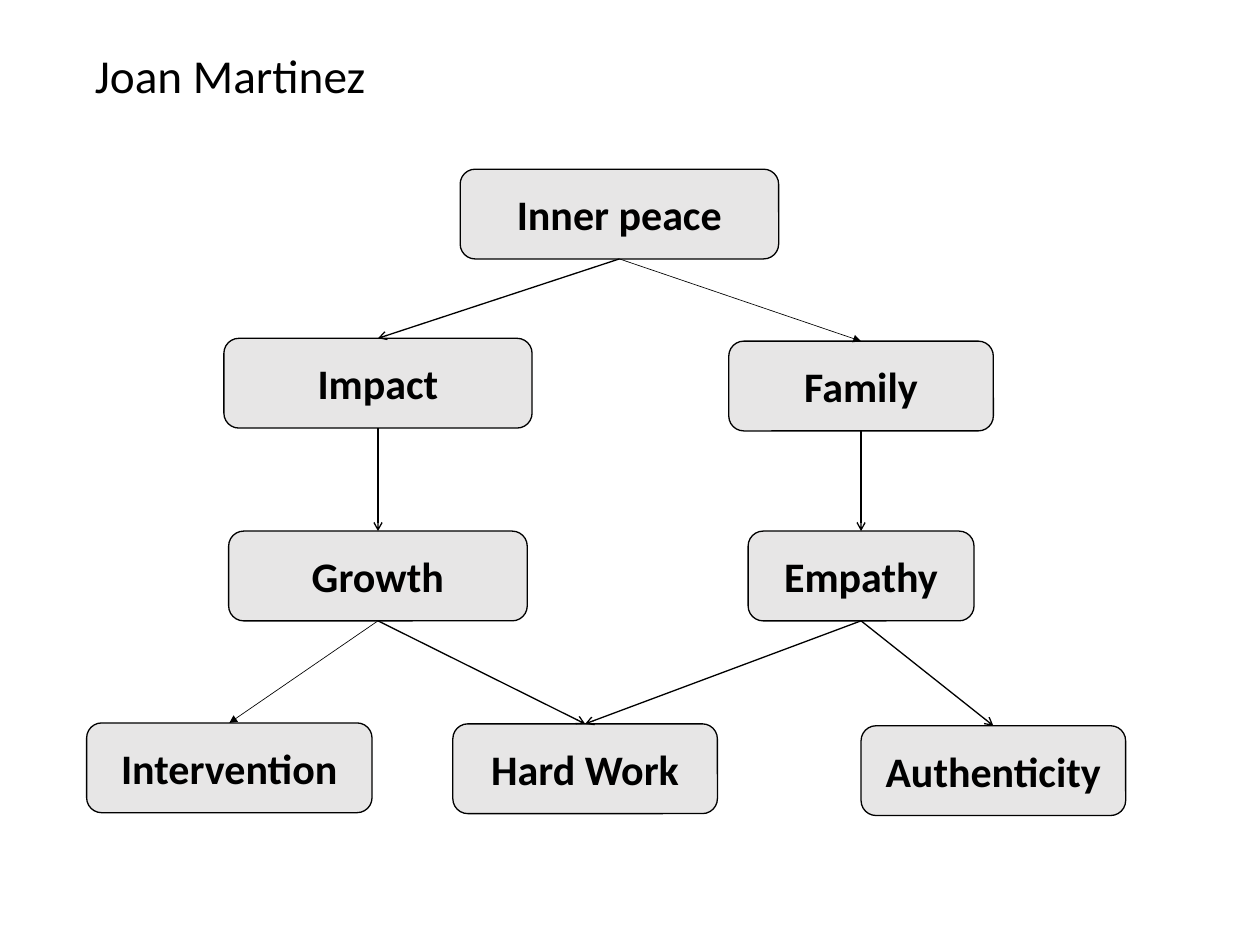
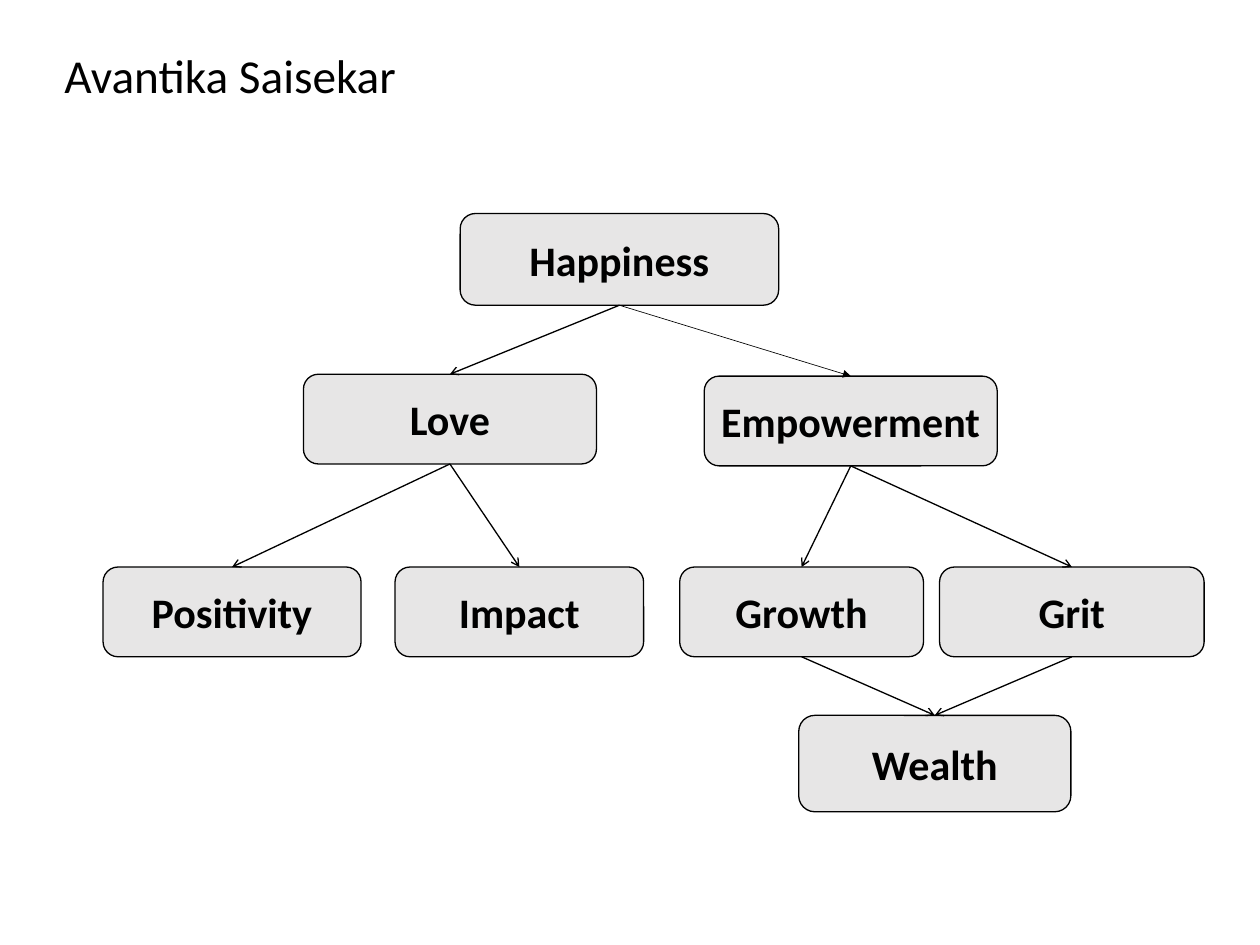
from dataclasses import dataclass

from lxml.etree import SubElement
from pptx import Presentation
from pptx.dml.color import RGBColor
from pptx.enum.shapes import MSO_CONNECTOR, MSO_SHAPE
from pptx.enum.text import MSO_ANCHOR, MSO_AUTO_SIZE, PP_ALIGN
from pptx.oxml.ns import qn
from pptx.shapes.autoshape import Shape
from pptx.slide import Slide
from pptx.util import Inches, Pt

# Shared look
WIDE, HIGH = Inches(13.33), Inches(10)
FONT, INK, GREY = "Calibri", "000000", "E7E6E6"
TOP, BASE = 0, 2  # connection sites of a box


@dataclass(frozen=True)
class Node:
    """A value box: centre, top and size in percent of the slide."""
    label: str
    mid: float
    top: float
    width: float
    height: float = 9.5


@dataclass(frozen=True)
class Link:
    """An arrow from one box down to another."""
    start: str
    end: str
    head: str = "arrow"
    weight: float = 1


@dataclass(frozen=True)
class Tree:
    owner: str
    nodes: list[Node]
    links: list[Link]


TREES = [
    Tree("Joan Martinez", [
        Node("Inner peace", 49.16, 17.9, 25.28),
        Node("Impact", 30, 35.8, 24.46),
        Node("Family", 68.34, 36.1, 21),
        Node("Growth", 30, 56.2, 23.7),
        Node("Empathy", 68.34, 56.2, 17.93),
        Node("Intervention", 18.2, 76.5, 22.65),
        Node("Hard Work", 46.44, 76.6, 21),
        Node("Authenticity", 78.84, 76.8, 21),
    ], [
        Link("Inner peace", "Impact"),
        Link("Inner peace", "Family", "triangle", 0.5),
        Link("Impact", "Growth"),
        Link("Family", "Empathy"),
        Link("Growth", "Intervention", "triangle", 0.5),
        Link("Growth", "Hard Work"),
        Link("Empathy", "Hard Work"),
        Link("Empathy", "Authenticity"),
    ]),
    Tree("Avantika Saisekar", [
        Node("Happiness", 49.16, 22.6, 25.28, 9.7),
        Node("Love", 35.71, 39.6, 23.26),
        Node("Empowerment", 67.52, 39.8, 23.26),
        Node("Positivity", 18.42, 60, 20.48),
        Node("Impact", 41.22, 60, 19.73),
        Node("Growth", 63.62, 60, 19.35),
        Node("Grit", 85.07, 60, 21),
        Node("Wealth", 74.19, 75.7, 21.6, 10.2),
    ], [
        Link("Happiness", "Love"),
        Link("Happiness", "Empowerment", "triangle", 0.5),
        Link("Love", "Positivity"),
        Link("Love", "Impact"),
        Link("Empowerment", "Growth"),
        Link("Empowerment", "Grit"),
        Link("Growth", "Wealth"),
        Link("Grit", "Wealth"),
    ]),
]


def color(code: str) -> RGBColor:
    return RGBColor.from_string(code)


def across(share: float) -> int:
    return round(WIDE * share / 100)


def down(share: float) -> int:
    return round(HIGH * share / 100)


def write(shape: Shape, text: str, size: float, bold: bool) -> None:
    """Put one centred line into a shape."""
    frame = shape.text_frame
    frame.word_wrap = True
    frame.auto_size = MSO_AUTO_SIZE.NONE
    frame.vertical_anchor = MSO_ANCHOR.MIDDLE
    line = frame.paragraphs[0]
    line.alignment = PP_ALIGN.CENTER
    run = line.add_run()
    run.text = text
    font = run.font
    font.name, font.size, font.bold = FONT, Pt(size), bold
    font.color.rgb = color(INK)


def add_title(slide: Slide, text: str) -> None:
    title = slide.shapes.title
    title.left, title.top = 0, down(4.3)
    title.width, title.height = across(36.53), down(7.1)
    write(title, text, 36, False)


def add_node(slide: Slide, node: Node) -> Shape:
    box = slide.shapes.add_shape(
        MSO_SHAPE.ROUNDED_RECTANGLE,
        across(node.mid - node.width / 2), down(node.top),
        across(node.width), down(node.height))
    box.shadow.inherit = False
    box.fill.solid()
    box.fill.fore_color.rgb = color(GREY)
    box.line.color.rgb = color(INK)
    box.line.width = Pt(1)
    write(box, node.label, 32, True)
    return box


def add_link(slide: Slide, link: Link, boxes: dict[str, Shape]) -> None:
    arrow = slide.shapes.add_connector(MSO_CONNECTOR.STRAIGHT, 0, 0, 0, 0)
    arrow.begin_connect(boxes[link.start], BASE)
    arrow.end_connect(boxes[link.end], TOP)
    arrow.line.color.rgb = color(INK)
    arrow.line.width = Pt(link.weight)
    props = arrow.line._get_or_add_ln()
    SubElement(props, qn("a:tailEnd"), type=link.head)
    SubElement(arrow._element.spPr, qn("a:effectLst"))


def add_tree(slide: Slide, tree: Tree) -> None:
    add_title(slide, tree.owner)
    boxes = {node.label: add_node(slide, node) for node in tree.nodes}
    for link in tree.links:
        add_link(slide, link, boxes)


def main() -> None:
    deck = Presentation()
    deck.slide_width, deck.slide_height = WIDE, HIGH
    layout = deck.slide_layouts.get_by_name("Title Only")
    for tree in TREES:
        add_tree(deck.slides.add_slide(layout), tree)
    deck.save("out.pptx")


if __name__ == "__main__":
    main()
